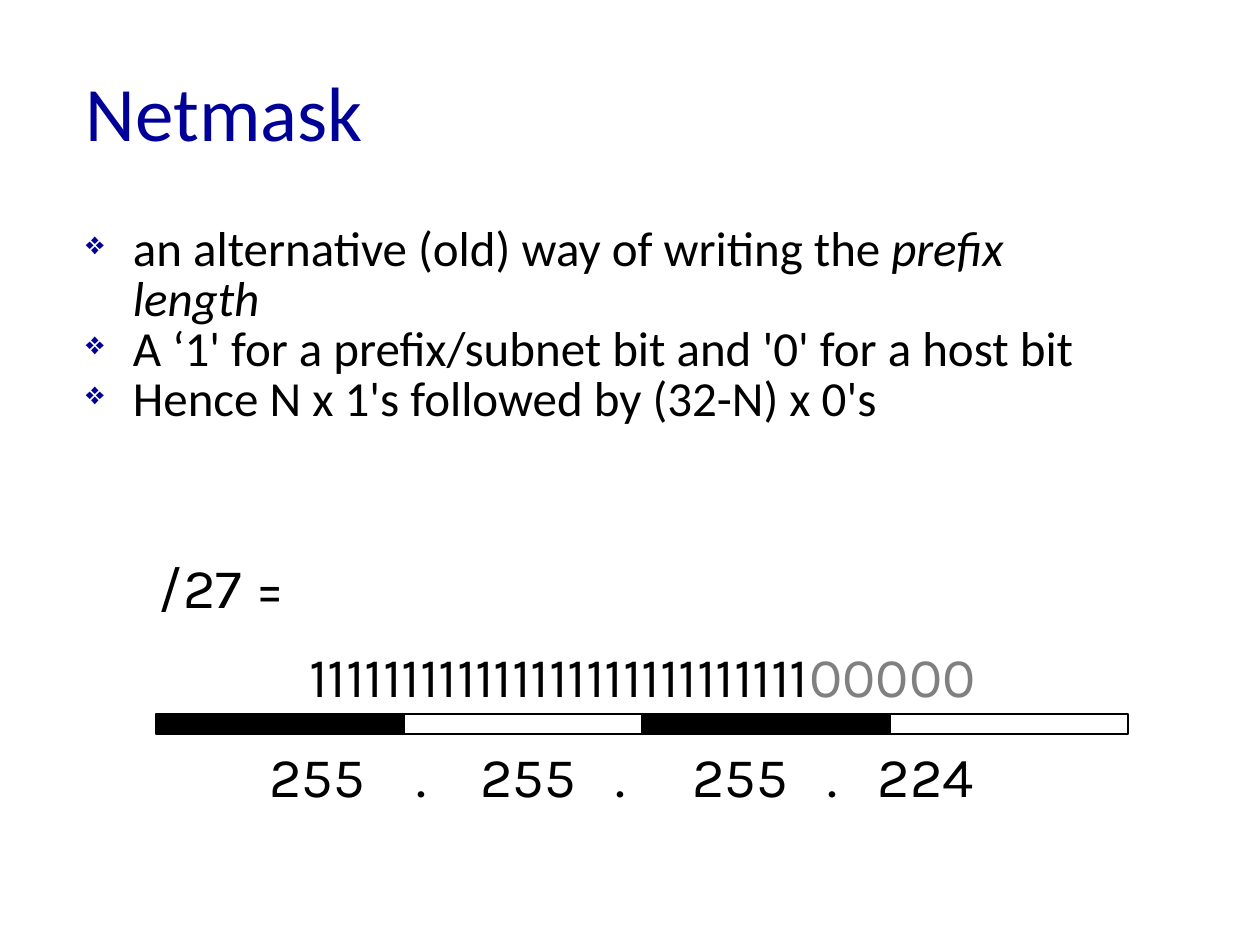
"""Build the netmask slide."""
from dataclasses import dataclass

from lxml import etree
from pptx import Presentation
from pptx import util as u
from pptx.dml.color import RGBColor
from pptx.enum import shapes, text
from pptx.oxml import ns


@dataclass(frozen=True)
class Theme:
    """Colours, fonts and type sizes of the slide."""
    accent: str = "000099"
    ink: str = "000000"
    paper: str = "FFFFFF"
    muted: str = "808080"
    prose: str = "Calibri"
    digits: str = "Karla"
    title_size: int = 44
    body_size: int = 28
    digit_size: int = 32


THEME = Theme()
INSET = 13


def px(length):
    """Turn whole pixels into EMU."""
    return u.Emu(round(length * 914400 / 126))


def colour(code):
    """Return the colour for a hex code."""
    return RGBColor.from_string(code)


def add_frame(page, box, anchor=text.MSO_ANCHOR.TOP):
    """Add a wrapping text box and return its text frame."""
    frame = page.shapes.add_textbox(*map(px, box)).text_frame
    frame.word_wrap = True
    frame.vertical_anchor = anchor
    frame.margin_left = frame.margin_right = px(INSET)
    return frame


def style(para, face, size, code):
    """Set the font that all runs of a paragraph share."""
    para.font.name = face
    para.font.size = u.Pt(size)
    para.font.color.rgb = colour(code)


def add_property(para, tag, **attributes):
    """Append a drawing element to the paragraph properties."""
    properties = para._p.get_or_add_pPr()
    return etree.SubElement(properties, ns.qn(tag), attributes)


def add_title(page, box, wording):
    """Place the slide title."""
    para = add_frame(page, box, text.MSO_ANCHOR.MIDDLE).paragraphs[0]
    para.text = wording
    style(para, THEME.prose, THEME.title_size, THEME.accent)


def add_bullets(page, box, items, indent=47):
    """Place a bulleted list of (plain, italic) wordings."""
    frame = add_frame(page, box)
    for index, (plain, italic) in enumerate(items):
        para = frame.add_paragraph() if index else frame.paragraphs[0]
        properties = para._p.get_or_add_pPr()
        properties.set("marL", str(px(indent)))
        properties.set("indent", str(-px(indent)))
        para.line_spacing = 0.85
        tint = add_property(para, "a:buClr")
        etree.SubElement(tint, ns.qn("a:srgbClr"), val=THEME.accent)
        add_property(para, "a:buSzPct", val="65000")
        add_property(para, "a:buChar", char="❖")
        style(para, THEME.prose, THEME.body_size, THEME.ink)
        para.add_run().text = plain
        if italic:
            span = para.add_run()
            span.text = italic
            span.font.italic = True


def add_prefix(page, box, wording):
    """Place the prefix label."""
    para = add_frame(page, box).paragraphs[0]
    para.text = wording
    style(para, THEME.digits, THEME.digit_size, THEME.ink)


def add_bits(page, box, prefix_length, total=32):
    """Place the mask bits, with the host bits muted."""
    para = add_frame(page, box).paragraphs[0]
    para.alignment = text.PP_ALIGN.CENTER
    style(para, THEME.digits, THEME.digit_size, THEME.ink)
    para.add_run().text = "1" * prefix_length
    host = para.add_run()
    host.text = "0" * (total - prefix_length)
    host.font.color.rgb = colour(THEME.muted)


def add_octet_bar(page, box, widths):
    """Place the bar of alternating octets."""
    left, top, _, height = box
    group = page.shapes.add_group_shape()
    for index, width in enumerate(widths):
        octet = group.shapes.add_shape(
            shapes.MSO_SHAPE.RECTANGLE, *map(px, (left, top, width, height)))
        octet.shadow.inherit = False
        octet.fill.solid()
        octet.fill.fore_color.rgb = colour(THEME.paper if index % 2 else THEME.ink)
        octet.line.color.rgb = colour(THEME.ink)
        octet.line.width = u.Pt(0.75)
        left += width


def add_dotted_mask(page, box, parts):
    """Place (wording, centre) parts of the mask on centred tab stops."""
    para = add_frame(page, box).paragraphs[0]
    stops = add_property(para, "a:tabLst")
    for _, centre in parts:
        etree.SubElement(stops, ns.qn("a:tab"), pos=str(px(centre - INSET)), algn="ctr")
    style(para, THEME.digits, THEME.digit_size, THEME.ink)
    para.add_run().text = "".join(f"\t{wording}" for wording, _ in parts)


def main():
    """Build and save the deck."""
    deck = Presentation()
    deck.slide_width, deck.slide_height = px(1260), px(945)
    page = deck.slides.add_slide(deck.slide_layouts[6])
    add_title(page, (73, 32, 1071, 157), "Netmask")
    add_bullets(page, (73, 220, 1071, 640), [
        ("an alternative (old) way of writing the ", "prefix length"),
        ("A ‘1' for a prefix/subnet bit and '0' for a host bit", ""),
        ("Hence N x 1's followed by (32-N) x 0's", ""),
    ])
    add_bits(page, (97, 635, 1091, 81), 27)
    add_octet_bar(page, (156, 714, 972, 20), (248, 238, 248, 238))
    add_dotted_mask(page, (97, 735, 1091, 81), [
        ("255", 220), (".", 325), ("255", 431), (".", 524),
        ("255", 643), (".", 736), ("224", 829),
    ])
    add_prefix(page, (146, 546, 179, 81), "/27 =")
    deck.save("out.pptx")


if __name__ == "__main__":
    main()
